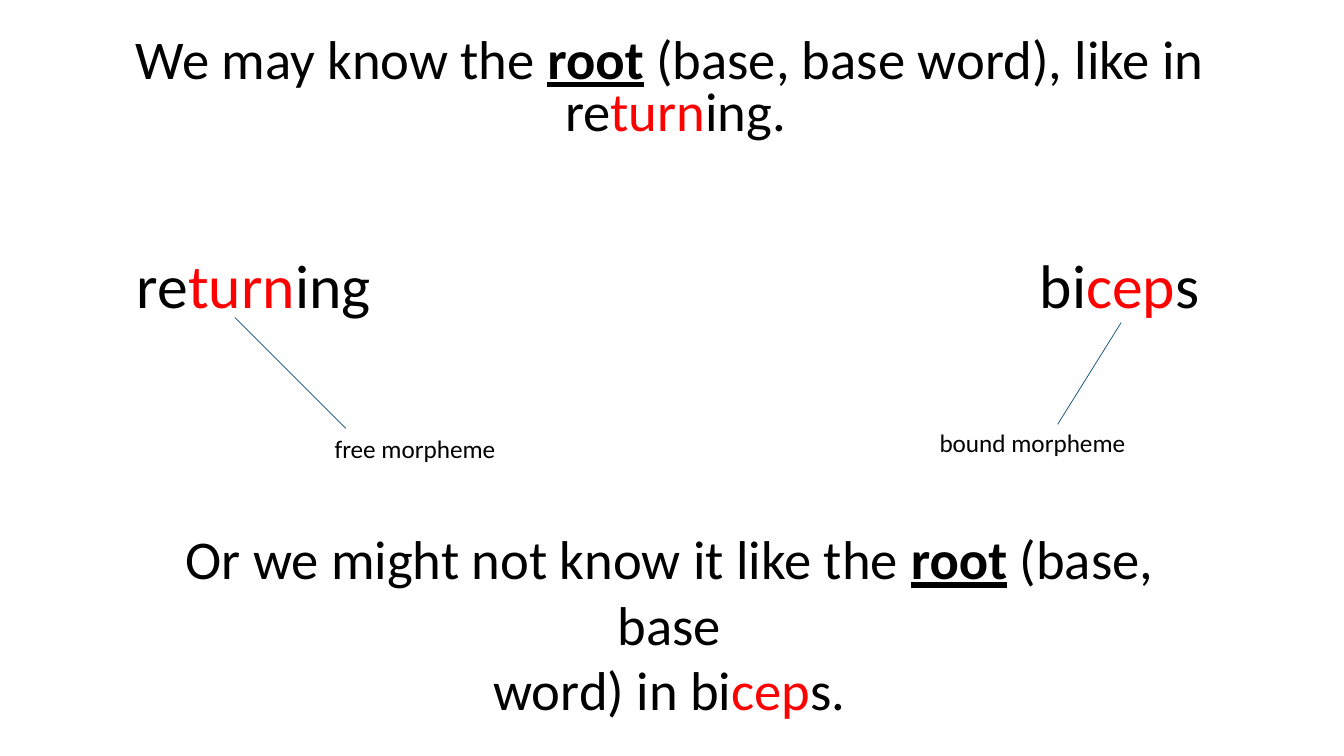
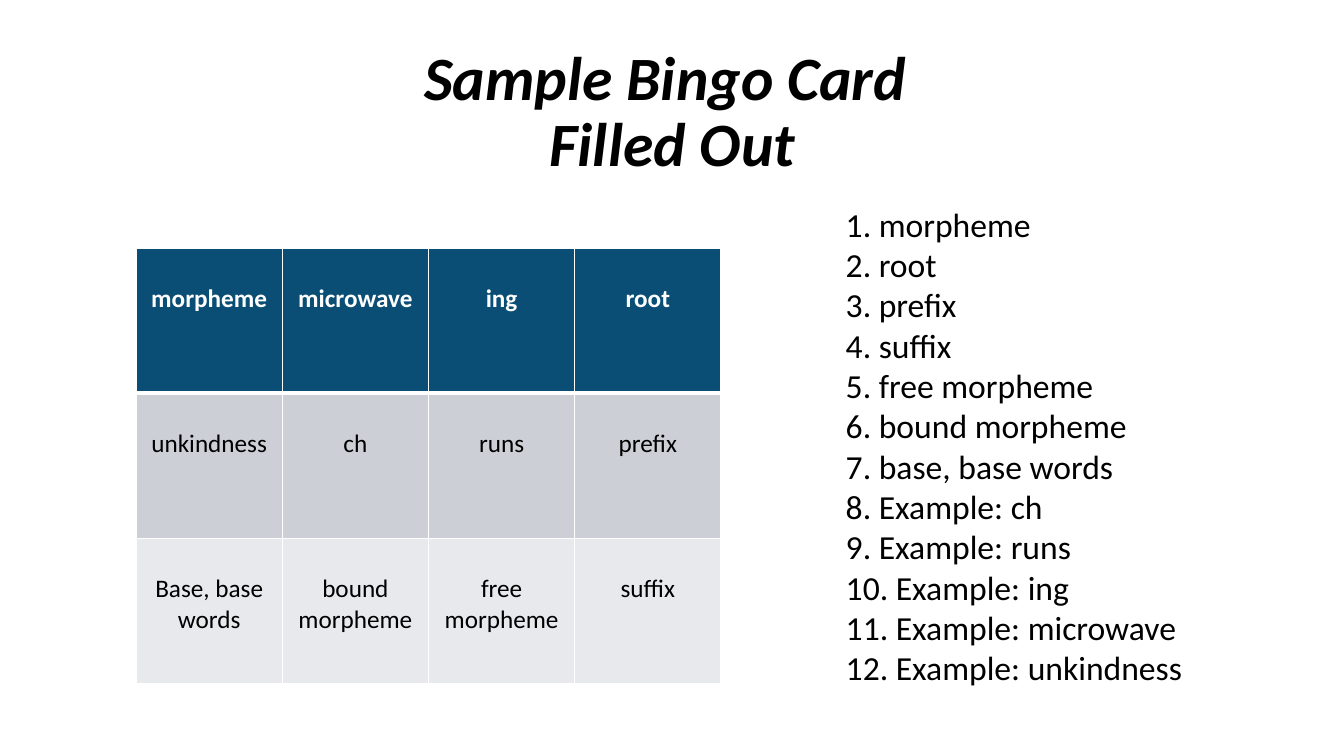
from dataclasses import dataclass

from lxml.etree import SubElement
from pptx import Presentation
from pptx.dml.color import RGBColor
from pptx.enum.shapes import MSO_CONNECTOR
from pptx.enum.text import MSO_ANCHOR, PP_ALIGN
from pptx.oxml.ns import qn
from pptx.util import Inches, Pt


@dataclass(frozen=True)
class Theme:
    """Colours, font and type sizes of the deck."""

    font: str = "Calibri"
    black: str = "000000"
    white: str = "FFFFFF"
    red: str = "FF0000"
    navy: str = "0A4E75"
    band_dark: str = "CCD0D6"
    band_light: str = "E7E9EC"
    title: int = 44
    statement: int = 39
    listing: int = 24
    label: int = 18


THEME = Theme()
ROOT_WORD = ("root", {"bold": True, "underline": True})
TURN = ("turn", {"color": THEME.red})
CEP = ("cep", {"color": THEME.red})


def add_span(para, text, size=THEME.label, color=THEME.black, bold=False, italic=False, underline=False):
    """Add one formatted run to a paragraph."""
    span = para.add_run()
    span.text = text
    font = span.font
    font.name, font.size = THEME.font, Pt(size)
    font.bold, font.italic, font.underline = bold, italic, underline
    font.color.rgb = RGBColor.from_string(color)


class SlideBuilder:
    """Hold the deck and the current slide, and draw its elements."""

    def __init__(self):
        """Start a widescreen deck."""
        self.deck = Presentation()
        self.deck.slide_width, self.deck.slide_height = Inches(13.33), Inches(7.5)
        self.page = None

    def add_page(self):
        """Start a blank slide."""
        self.page = self.deck.slides.add_slide(self.deck.slide_layouts[6])

    def add_text(self, left, top, width, height, lines, align=PP_ALIGN.LEFT,
                 anchor=MSO_ANCHOR.TOP, wrap=True, spacing=1.0, **style):
        """Add a text box whose lines are strings or lists of spans."""
        box = self.page.shapes.add_textbox(Inches(left), Inches(top), Inches(width), Inches(height))
        frame = box.text_frame
        frame.word_wrap, frame.vertical_anchor = wrap, anchor
        for index, line in enumerate(lines):
            para = frame.paragraphs[0] if index == 0 else frame.add_paragraph()
            para.alignment, para.line_spacing = align, spacing
            for part in [line] if isinstance(line, str) else line:
                text, changes = (part, {}) if isinstance(part, str) else part
                add_span(para, text, **{**style, **changes})
        return frame

    def add_title(self, top, lines):
        """Add a centred title in bold italics."""
        self.add_text(0.92, top, 11.5, 1.45, lines, align=PP_ALIGN.CENTER, anchor=MSO_ANCHOR.MIDDLE,
                      spacing=0.9, size=THEME.title, bold=True, italic=True)

    def add_statement(self, left, top, width, height, lines, spacing=1.0):
        """Add a centred sentence in large type."""
        return self.add_text(left, top, width, height, lines, align=PP_ALIGN.CENTER,
                             spacing=spacing, size=THEME.statement)

    def add_word_pair(self, left, top, width, height, first, second, right_edge):
        """Add two words on one line, the second set against a right tab."""
        frame = self.add_text(left, top, width, height, [[*first, "\t", *second]],
                              anchor=MSO_ANCHOR.MIDDLE, spacing=0.9, size=THEME.title)
        tabs = SubElement(frame.paragraphs[0]._p.get_or_add_pPr(), qn("a:tabLst"))
        SubElement(tabs, qn("a:tab"), pos=str(Inches(right_edge)), algn="r")

    def add_line(self, start, end):
        """Add a thin straight line between two points."""
        line = self.page.shapes.add_connector(
            MSO_CONNECTOR.STRAIGHT, *(Inches(value) for value in (*start, *end)))
        line.line.color.rgb = RGBColor.from_string(THEME.navy)
        line.line.width = Pt(0.5)
        SubElement(line._element.spPr, qn("a:effectLst"))

    def add_borders(self, cell, top, bottom):
        """Draw white cell borders with the given top and bottom weights."""
        properties = cell._tc.get_or_add_tcPr()
        for side, weight in (("L", 1), ("R", 1), ("T", top), ("B", bottom)):
            edge = SubElement(properties, qn(f"a:ln{side}"), w=str(Pt(weight)))
            SubElement(SubElement(edge, qn("a:solidFill")), qn("a:srgbClr"), val=THEME.white)

    def add_card(self, left, top, column_width, row_height, rows):
        """Add a bingo card as a table with a dark header row."""
        columns = len(rows[0])
        table = self.page.shapes.add_table(
            len(rows), columns, Inches(left), Inches(top),
            Inches(column_width * columns), Inches(row_height * len(rows))).table
        fills = (THEME.navy, THEME.band_dark, THEME.band_light)
        for row_index, (words, fill) in enumerate(zip(rows, fills)):
            header = row_index == 0
            for column_index, word in enumerate(words):
                cell = table.cell(row_index, column_index)
                cell.margin_top = Inches(0.35)
                self.add_borders(cell, top=3 if row_index == 1 else 1, bottom=3 if header else 1)
                cell.fill.solid()
                cell.fill.fore_color.rgb = RGBColor.from_string(fill)
                para = cell.text_frame.paragraphs[0]
                para.alignment = PP_ALIGN.CENTER
                add_span(para, word, color=THEME.white if header else THEME.black, bold=header)


def build_roots(builder):
    """Build the slide on known and unknown roots."""
    builder.add_page()
    frame = builder.add_statement(
        0.89, 0.32, 11.5, 1.3,
        [["We may know the ", ROOT_WORD, " (base, base word), like in re", TURN, "ing."]], spacing=0.8)
    properties = frame.paragraphs[0]._p.get_or_add_pPr()
    properties.set("marL", str(Inches(0.12)))
    properties.set("indent", str(-Inches(0.12)))
    builder.add_word_pair(1.26, 2.14, 10.9, 1.45, ["re", TURN, "ing"], ["bi", CEP, "s"], right_edge=10.54)
    builder.add_text(3.22, 4.25, 1.82, 0.4, ["free morpheme"], wrap=False)
    builder.add_text(9.22, 4.19, 2.07, 0.4, ["bound morpheme"], wrap=False)
    builder.add_statement(
        1.19, 5.16, 10.9, 1.41,
        [["Or we might not know it like the ", ROOT_WORD, " (base, base"], ["word) in bi", CEP, "s."]])
    builder.add_line((2.33, 3.15), (3.43, 4.25))
    builder.add_line((10.49, 4.21), (11.12, 3.2))


def build_bingo(builder):
    """Build the slide with the filled bingo card."""
    builder.add_page()
    builder.add_title(0.4, ["Sample Bingo Card ", "Filled Out"])
    terms = ["morpheme", "root", "prefix", "suffix", "free morpheme", "bound morpheme", "base, base words"]
    examples = ["ch", "runs", "ing", "microwave", "unkindness"]
    entries = terms + [f"Example: {word}" for word in examples]
    builder.add_text(8.29, 1.97, 3.57, 4.95,
                     [f"{number}. {entry}" for number, entry in enumerate(entries, 1)],
                     wrap=False, size=THEME.listing)
    builder.add_card(1.35, 2.46, 1.45, 1.44, [
        ["morpheme", "microwave", "ing", "root"],
        ["unkindness", "ch", "runs", "prefix"],
        ["Base, base words", "bound morpheme", "free morpheme", "suffix"],
    ])


def main():
    """Build and save the deck."""
    builder = SlideBuilder()
    build_roots(builder)
    build_bingo(builder)
    builder.deck.save("out.pptx")


if __name__ == "__main__":
    main()
